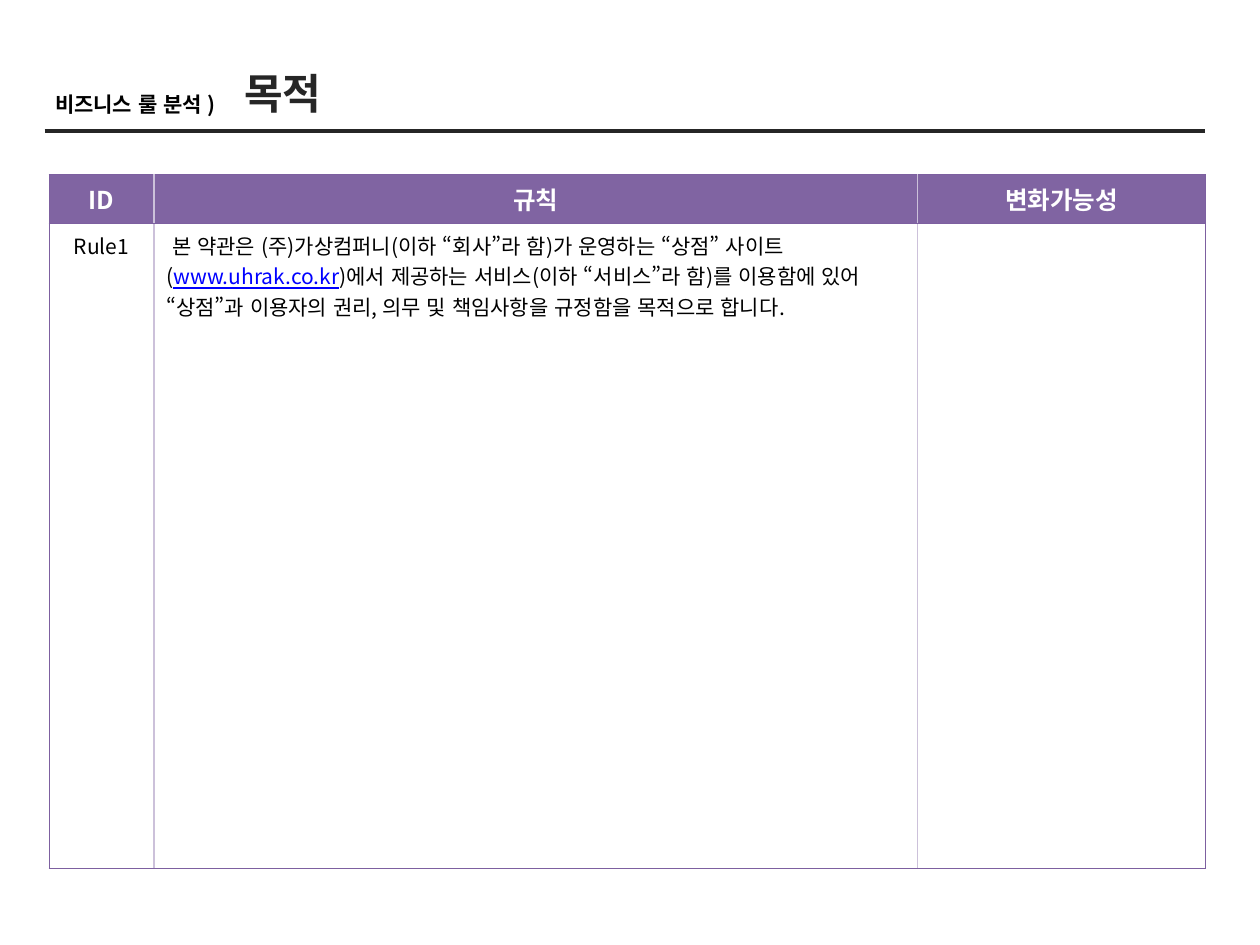
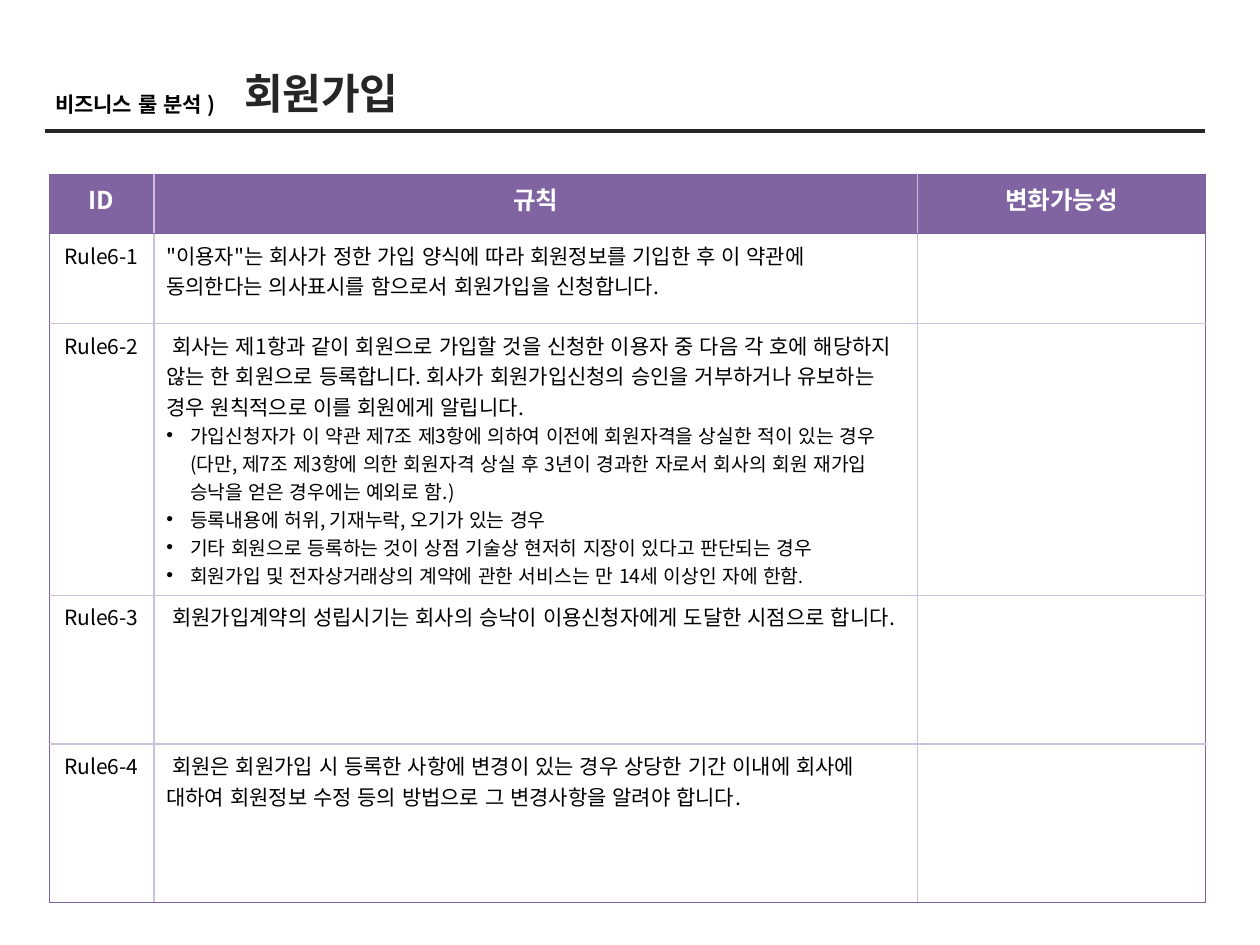
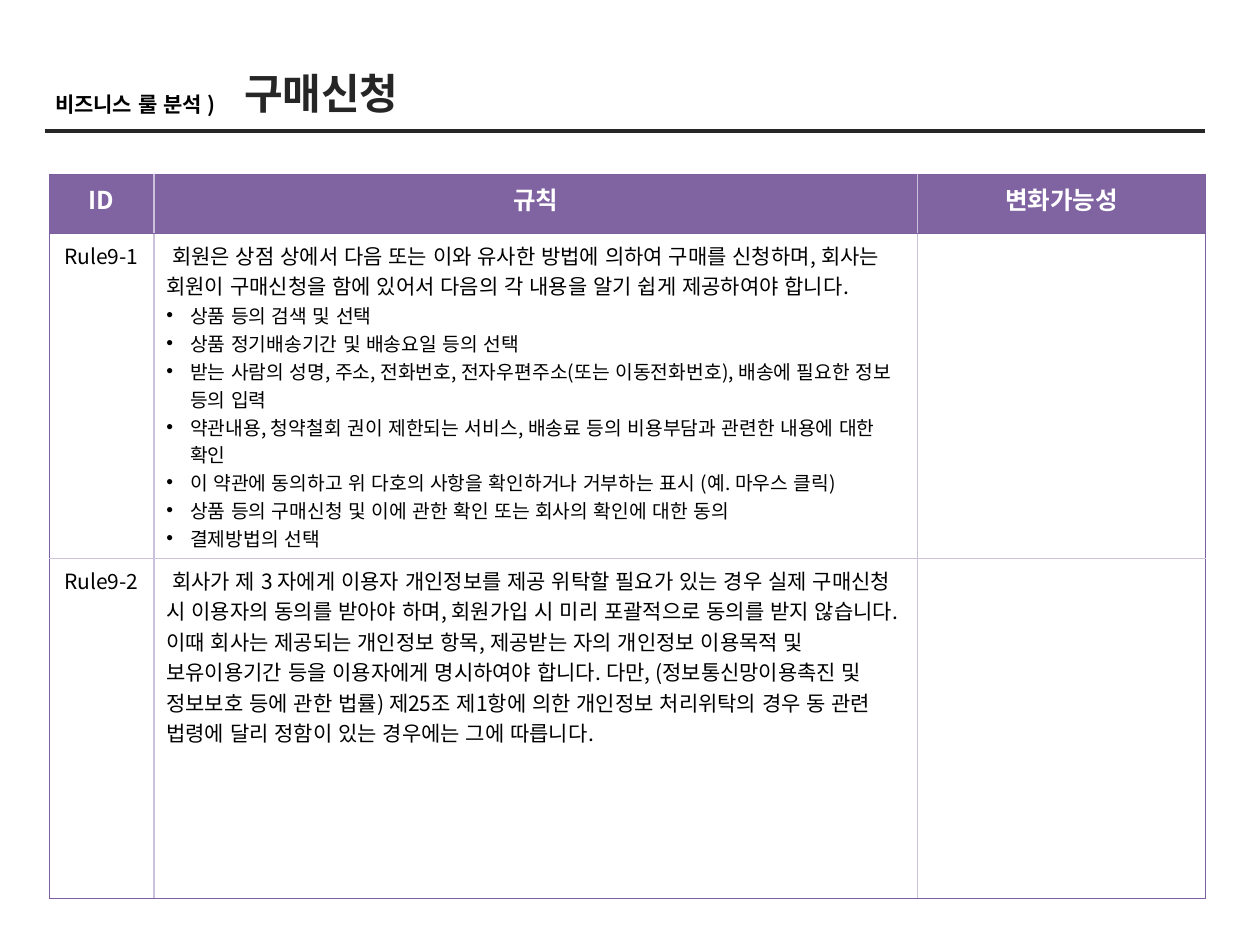
from dataclasses import dataclass

from lxml import etree
from pptx import Presentation
from pptx import util as u
from pptx.dml.color import RGBColor
from pptx.enum import lang, shapes, text
from pptx.oxml.ns import qn


@dataclass(frozen=True)
class Theme:
    face: str = "Noto Sans CJK KR"
    latin: str = "Arial"
    ink: str = "000000"
    dark: str = "262626"
    white: str = "FFFFFF"
    link: str = "0000FF"
    head: str = "8064A2"
    edge: str = "7D60A0"
    grid: str = "CCC1DA"
    title: float = 24
    label: float = 14
    body: float = 12
    item: float = 11
    small: float = 10


COLS = (2.11, 15.4, 5.8)
HEADS = ("ID", "규칙", "변화가능성")
TAG = "비즈니스 룰 분석 )"


class Deck:
    def __init__(self, theme):
        self.theme = theme
        self.prs = Presentation()
        self.prs.slide_width = u.Cm(25.4)
        self.prs.slide_height = u.Cm(19.05)
        self.slide = None

    def page(self, title):
        th = self.theme
        self.slide = self.prs.slides.add_slide(self.prs.slide_layouts[6])
        self.line(0.9, 24.3, 2.64)
        self.label(TAG, (0.86, 1.73, 4.11, 0.76), th.body, th.ink, th.face)
        wide = 0.54 + 0.85 * len(title)
        self.label(title, (4.67, 1.24, wide, 1.27), th.title, th.dark, th.latin)

    def line(self, left, right, top):
        rule = self.slide.shapes.add_connector(
            shapes.MSO_CONNECTOR.STRAIGHT,
            u.Cm(left), u.Cm(top), u.Cm(right), u.Cm(top))
        rule.line.color.rgb = RGBColor.from_string(self.theme.dark)
        rule.line.width = u.Pt(2.25)
        etree.SubElement(rule._element.spPr, qn("a:effectLst"))

    def label(self, words, place, size, color, face):
        box = self.slide.shapes.add_textbox(*map(u.Cm, place))
        frame = box.text_frame
        frame.word_wrap = False
        frame.auto_size = text.MSO_AUTO_SIZE.SHAPE_TO_FIT_TEXT
        self.run(frame.paragraphs[0], words, size, color, True, face)

    def run(self, para, words, size, color, bold=False, face=None, under=False):
        run = para.add_run()
        run.text = words
        font = run.font
        font.size = u.Pt(size)
        font.bold = bold
        font.underline = under
        font.language_id = lang.MSO_LANGUAGE_ID.KOREAN
        font.color.rgb = RGBColor.from_string(color)
        font.name = face or self.theme.face
        east = etree.SubElement(run._r.get_or_add_rPr(), qn("a:ea"))
        east.set("typeface", self.theme.face)

    def bullet(self, para):
        props = para._p.get_or_add_pPr()
        props.set("marL", str(u.Cm(0.48)))
        props.set("indent", str(-u.Cm(0.48)))
        etree.SubElement(props, qn("a:buFont")).set("typeface", self.theme.latin)
        etree.SubElement(props, qn("a:buChar")).set("char", "•")

    def edges(self, cell, row, col, last):
        th = self.theme
        outer = {"L": col == 0, "R": col == len(COLS) - 1,
                 "T": row <= 1, "B": row in (0, last)}
        props = cell._tc.get_or_add_tcPr()
        for side, rim in outer.items():
            line = etree.SubElement(props, qn(f"a:ln{side}"))
            line.set("w", str(u.Pt(0.75 if rim else 1)))
            fill = etree.SubElement(line, qn("a:solidFill"))
            tint = etree.SubElement(fill, qn("a:srgbClr"))
            tint.set("val", th.edge if rim else th.grid)

    def center(self, cell, words, size, color, bold=False):
        para = cell.text_frame.paragraphs[0]
        para.alignment = text.PP_ALIGN.CENTER
        self.run(para, words, size, color, bold)

    def rule(self, cell, paras):
        th = self.theme
        looks = {"link": dict(color=th.link, under=True),
                 "small": dict(size=th.small)}
        frame = cell.text_frame
        for n, runs in enumerate(paras):
            para = frame.add_paragraph() if n else frame.paragraphs[0]
            if n:
                self.bullet(para)
            for part in [runs] if isinstance(runs, str) else runs:
                words, look = (part, "") if isinstance(part, str) else part
                style = dict(size=th.item if n else th.body, color=th.ink)
                self.run(para, words, **{**style, **looks.get(look, {})})

    def table(self, rules, highs):
        th = self.theme
        grid = self.slide.shapes.add_table(
            len(highs), len(COLS), u.Cm(0.99), u.Cm(3.52),
            u.Cm(sum(COLS)), u.Cm(sum(highs))).table
        grid.first_row = grid.horz_banding = False
        for col, wide in zip(grid.columns, COLS):
            col.width = u.Cm(wide)
        for r, high in enumerate(highs):
            grid.rows[r].height = u.Cm(high)
            for c, head in enumerate(HEADS):
                cell = grid.cell(r, c)
                self.edges(cell, r, c, len(rules))
                if r:
                    cell.fill.background()
                else:
                    cell.fill.solid()
                    cell.fill.fore_color.rgb = RGBColor.from_string(th.head)
                    self.center(cell, head, th.label, th.white, True)
        for r, (name, paras) in enumerate(rules, 1):
            self.center(grid.cell(r, 0), name, th.body, th.ink)
            self.rule(grid.cell(r, 1), paras)


PAGES = [
    ("목적", (0.99, 13), [
        ("Rule1", [
            (" 본 약관은 (주)가상컴퍼니(이하 “회사”라 함)가 운영하는 “상점” 사이트(",
             ("www.uhrak.co.kr", "link"),
             ")에서 제공하는 서비스(이하 “서비스”라 함)를 이용함에 있어 “상점”과 이용자의 권리, "
             "의무 및 책임사항을 규정함을 목적으로 합니다."),
        ]),
    ]),
    ("회원가입", (1.19, 1.81, 5.48, 3, 3.2), [
        ("Rule6-1", [
            "\"이용자\"는 회사가 정한 가입 양식에 따라 회원정보를 기입한 후 이 약관에 "
            "동의한다는 의사표시를 함으로서 회원가입을 신청합니다.",
        ]),
        ("Rule6-2", [
            " 회사는 제1항과 같이 회원으로 가입할 것을 신청한 이용자 중 다음 각 호에 해당하지 "
            "않는 한 회원으로 등록합니다. 회사가 회원가입신청의 승인을 거부하거나 유보하는 "
            "경우 원칙적으로 이를 회원에게 알립니다.",
            "가입신청자가 이 약관 제7조 제3항에 의하여 이전에 회원자격을 상실한 적이 있는 경우 "
            "(다만, 제7조 제3항에 의한 회원자격 상실 후 3년이 경과한 자로서 회사의 회원 "
            "재가입 승낙을 얻은 경우에는 예외로 함.)",
            "등록내용에 허위, 기재누락, 오기가 있는 경우",
            "기타 회원으로 등록하는 것이 상점 기술상 현저히 지장이 있다고 판단되는 경우",
            ("회원가입 및 전자상거래상의 계약에 관한 서비스는 만 14세 이상인 자에 한함",
             (".", "small")),
        ]),
        ("Rule6-3", [
            " 회원가입계약의 성립시기는 회사의 승낙이 이용신청자에게 도달한 시점으로 합니다.",
        ]),
        ("Rule6-4", [
            " 회원은 회원가입 시 등록한 사항에 변경이 있는 경우 상당한 기간 이내에 회사에 "
            "대하여 회원정보 수정 등의 방법으로 그 변경사항을 알려야 합니다.",
        ]),
    ]),
    ("구매신청", (1.19, 6.55, 6.85), [
        ("Rule9-1", [
            " 회원은 상점 상에서 다음 또는 이와 유사한 방법에 의하여 구매를 신청하며, 회사는 "
            "회원이 구매신청을 함에 있어서 다음의 각 내용을 알기 쉽게 제공하여야 합니다.",
            "상품 등의 검색 및 선택",
            "상품 정기배송기간 및 배송요일 등의 선택",
            "받는 사람의 성명, 주소, 전화번호, 전자우편주소(또는 이동전화번호), 배송에 "
            "필요한 정보 등의 입력",
            "약관내용, 청약철회 권이 제한되는 서비스, 배송료 등의 비용부담과 관련한 내용에 대한 확인",
            "이 약관에 동의하고 위 다호의 사항을 확인하거나 거부하는 표시 (예. 마우스 클릭)",
            "상품 등의 구매신청 및 이에 관한 확인 또는 회사의 확인에 대한 동의",
            "결제방법의 선택",
        ]),
        ("Rule9-2", [
            " 회사가 제 3 자에게 이용자 개인정보를 제공 위탁할 필요가 있는 경우 실제 구매신청 "
            "시 이용자의 동의를 받아야 하며, 회원가입 시 미리 포괄적으로 동의를 받지 "
            "않습니다. 이때 회사는 제공되는 개인정보 항목, 제공받는 자의 개인정보 이용목적 "
            "및 보유이용기간 등을 이용자에게 명시하여야 합니다. 다만, (정보통신망이용촉진 "
            "및 정보보호 등에 관한 법률) 제25조 제1항에 의한 개인정보 처리위탁의 경우 동 "
            "관련 법령에 달리 정함이 있는 경우에는 그에 따릅니다.",
        ]),
    ]),
]


def main():
    deck = Deck(Theme())
    for title, highs, rules in PAGES:
        deck.page(title)
        deck.table(rules, highs)
    deck.prs.save("out.pptx")


if __name__ == "__main__":
    main()
